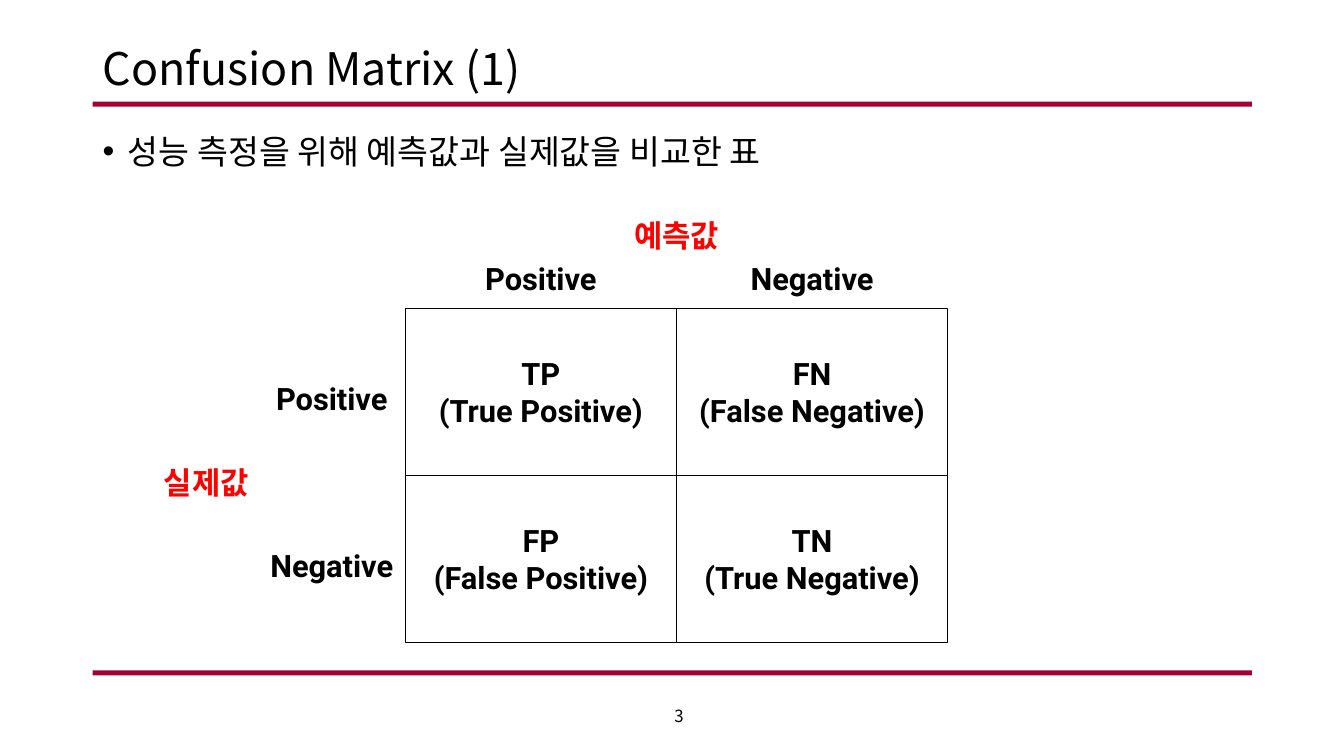
from lxml import etree
from pptx import Presentation
from pptx.dml.color import RGBColor
from pptx.enum.shapes import MSO_SHAPE
from pptx.enum.text import MSO_ANCHOR, MSO_AUTO_SIZE, PP_ALIGN
from pptx.oxml.ns import qn
from pptx.util import Pt

RECT = MSO_SHAPE.RECTANGLE
TOP, MIDDLE = MSO_ANCHOR.TOP, MSO_ANCHOR.MIDDLE
LEFT, CENTER, RIGHT = PP_ALIGN.LEFT, PP_ALIGN.CENTER, PP_ALIGN.RIGHT
NO_FIT, GROW = MSO_AUTO_SIZE.NONE, MSO_AUTO_SIZE.SHAPE_TO_FIT_TEXT

BLACK = RGBColor(0x00, 0x00, 0x00)
WHITE = RGBColor(0xFF, 0xFF, 0xFF)
RED = RGBColor(0xFF, 0x00, 0x00)
CRIMSON = RGBColor(0xA5, 0x00, 0x34)
SANS, LATIN = "Noto Sans CJK KR", "Roboto"

CELLS = [["TP\n(True Positive)", "FN\n(False Negative)"],
         ["FP\n(False Positive)", "TN\n(True Negative)"]]
CLASSES = ["Positive", "Negative"]


def write(sp, text, size=22, font=LATIN, color=BLACK, bold=True, align=CENTER,
          anchor=MIDDLE, spacing=1.0, before=0, fit=NO_FIT):
    """Fill a shape with formatted text, one paragraph per line."""
    tf = sp.text_frame
    tf.text = text
    tf.word_wrap = True
    tf.auto_size = fit
    tf.vertical_anchor = anchor
    for p in tf.paragraphs:
        p.alignment = align
        p.line_spacing = spacing
        p.space_before = Pt(before)
        for r in p.runs:
            f = r.font
            f.name, f.size, f.bold = font, Pt(size), bold
            f.color.rgb = color
            ea = etree.SubElement(r._r.get_or_add_rPr(), qn("a:ea"))
            ea.set("typeface", SANS)


def place(sp, x, y, w, h):
    """Move and size a shape, in points."""
    sp.left, sp.top, sp.width, sp.height = Pt(x), Pt(y), Pt(w), Pt(h)


def add_rect(slide, x, y, w, h, fill, line=None):
    """Add a flat rectangle, outlined only when a line colour is given."""
    sp = slide.shapes.add_shape(RECT, Pt(x), Pt(y), Pt(w), Pt(h))
    sp.shadow.inherit = False
    sp.fill.solid()
    sp.fill.fore_color.rgb = fill
    if line is None:
        sp.line.fill.background()
    else:
        sp.line.color.rgb = line
        sp.line.width = Pt(1)
    return sp


def add_label(slide, text, cx, cy, color=BLACK):
    """Add a bold label centred on a point."""
    w, h = 117, 39.6
    sp = slide.shapes.add_textbox(Pt(cx - w / 2), Pt(cy - h / 2), Pt(w), Pt(h))
    write(sp, text, color=color, anchor=TOP, spacing=1.3, fit=GROW)


def add_frame(slide, x, w, number):
    """Add the two crimson rules and the page number."""
    for y in (72.6, 478.8):
        add_rect(slide, x, y, w, 3.6, CRIMSON)
    sp = slide.shapes.add_textbox(Pt(279.4), Pt(496.8), Pt(216), Pt(28.8))
    write(sp, number, size=12, font=SANS, bold=False, align=RIGHT)


def add_heading(slide, x, w, title, bullet):
    """Fill the title and body placeholders."""
    sp = slide.shapes.title
    place(sp, x, 28.8, w, 43.2)
    write(sp, title, size=32, font=SANS, bold=False, align=LEFT, spacing=0.9)

    body = slide.placeholders[1]
    place(body, x, 92.9, w, 385.9)
    write(body, bullet, size=24, font=SANS, bold=False, align=LEFT,
          anchor=TOP, spacing=0.9, before=10)
    pPr = body.text_frame.paragraphs[0]._p.get_or_add_pPr()
    pPr.set("marL", str(Pt(18)))
    pPr.set("indent", str(-Pt(18)))
    etree.SubElement(pPr, qn("a:buFont")).set("typeface", "Arial")
    etree.SubElement(pPr, qn("a:buChar")).set("char", "•")


def add_matrix(slide, x, y, w, h):
    """Draw the two-by-two matrix in its box, with labels above and left."""
    cw, ch = w / 2, h / 2
    for i, row in enumerate(CELLS):
        for j, text in enumerate(row):
            write(add_rect(slide, x + j * cw, y + i * ch, cw, ch, WHITE, BLACK), text)
    for i, name in enumerate(CLASSES):
        add_label(slide, name, x + (i + 0.5) * cw, y - 26.2)
        add_label(slide, name, x - 52.5, y + (i + 0.5) * ch)
    add_label(slide, "예측값", x + cw, y - 57.2, RED)
    add_label(slide, "실제값", x - 142.2, y + ch, RED)


def main():
    """Build and save the slide."""
    prs = Presentation()
    prs.slide_width, prs.slide_height = Pt(960), Pt(540)
    slide = prs.slides.add_slide(prs.slide_layouts[1])
    x, w = 66.2, 828
    add_frame(slide, x, w, "3")
    add_heading(slide, x, w, "Confusion Matrix (1)",
                "성능 측정을 위해 예측값과 실제값을 비교한 표")
    add_matrix(slide, 289.5, 220.2, 387.4, 238.6)
    prs.save("out.pptx")


if __name__ == "__main__":
    main()
